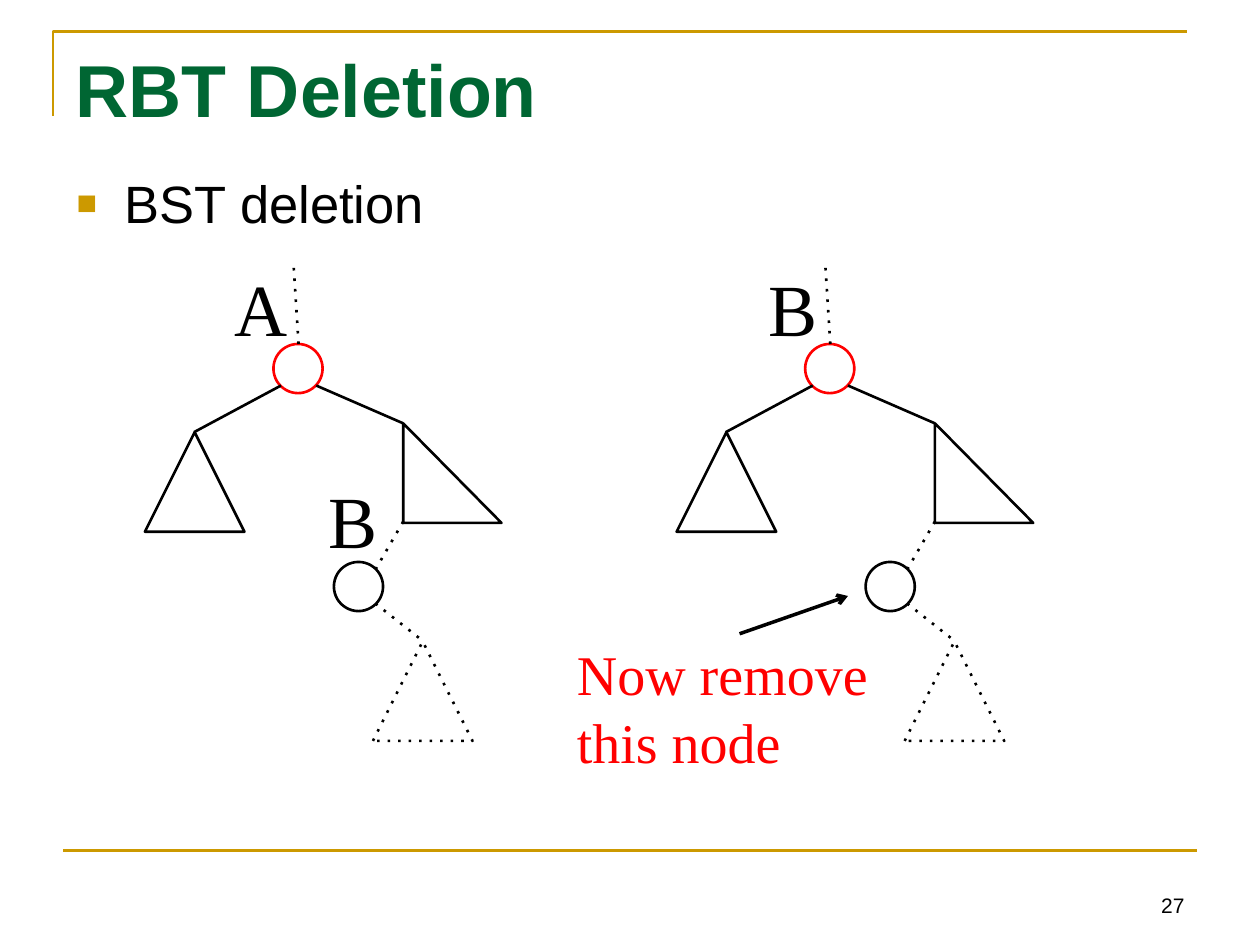
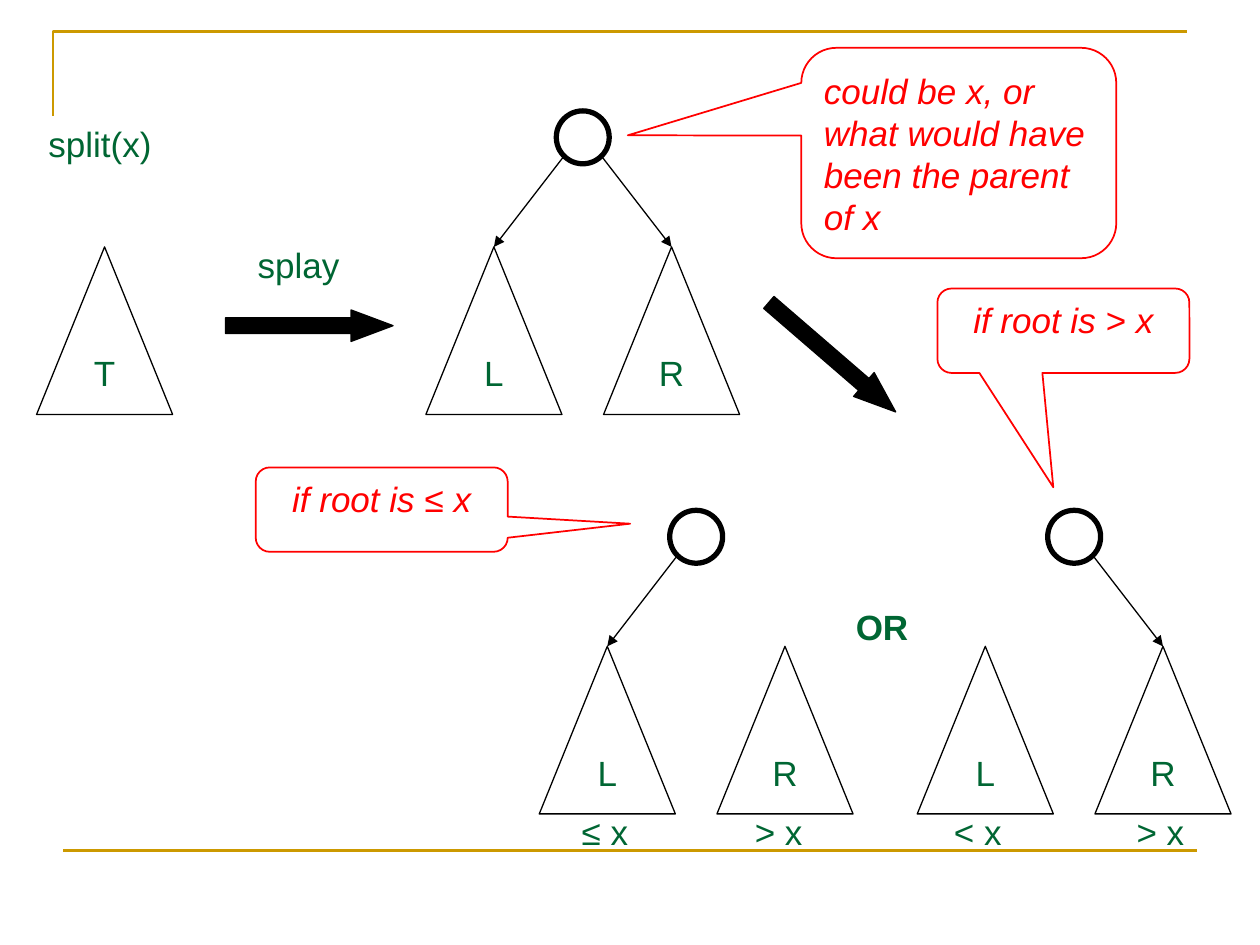
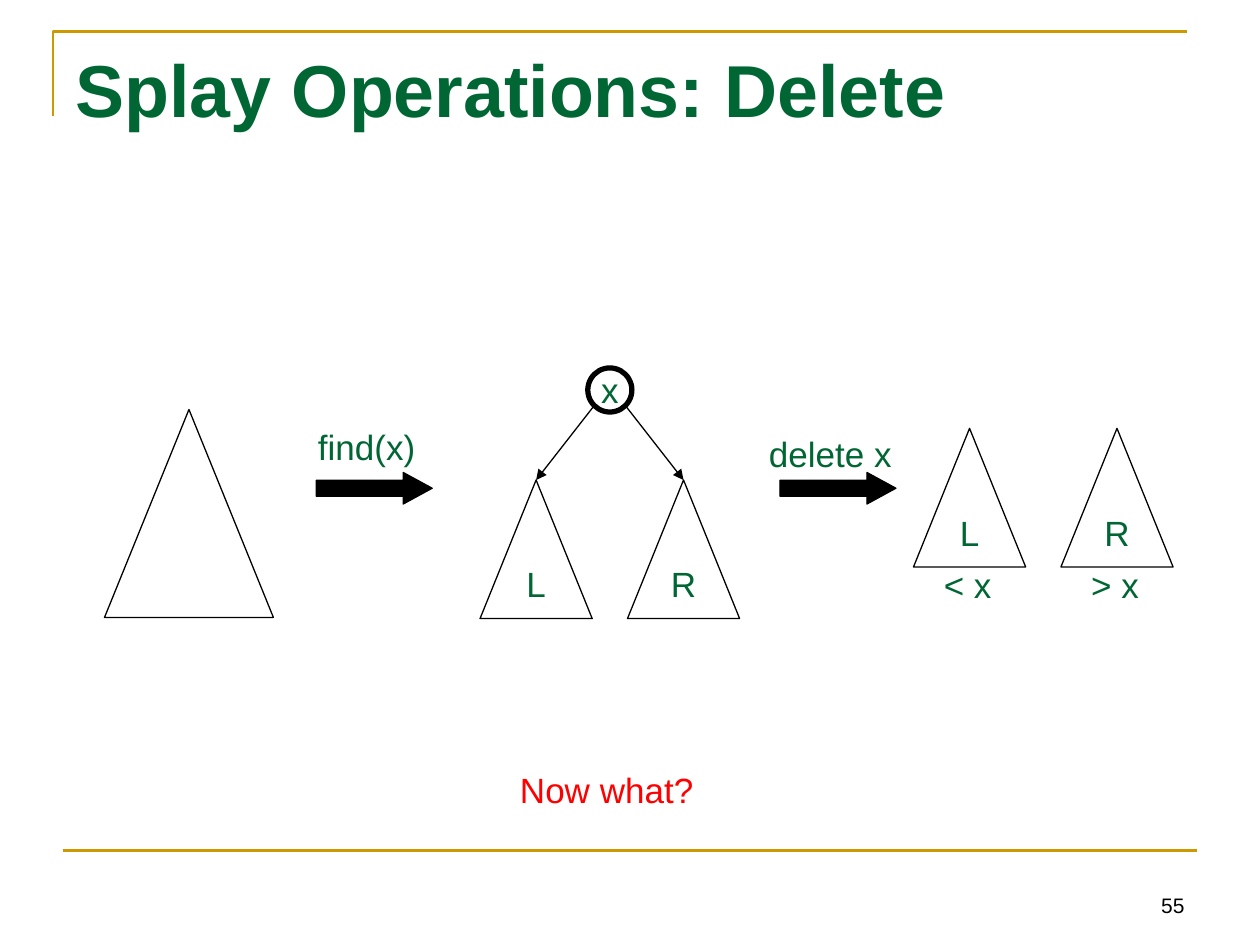
from lxml import etree
from pptx import Presentation
from pptx.dml.color import RGBColor
from pptx.enum.shapes import MSO_CONNECTOR, MSO_SHAPE
from pptx.enum.text import MSO_ANCHOR, PP_ALIGN
from pptx.oxml.ns import qn
from pptx.util import Pt

PX = 9144  # EMU per px, 100 px to the inch
WIDTH, HEIGHT = 1000, 750
TITLE_ONLY, BLANK = 5, 6

GREEN, GOLD, RED, BLACK = "006633", "CC9900", "FF0000", "000000"
SANS, SERIF = "Arial", "Times New Roman"

LEFT, CENTER, RIGHT = PP_ALIGN.LEFT, PP_ALIGN.CENTER, PP_ALIGN.RIGHT
TOP, MIDDLE, BOTTOM = MSO_ANCHOR.TOP, MSO_ANCHOR.MIDDLE, MSO_ANCHOR.BOTTOM
ELLIPSE, TRIANGLE = MSO_SHAPE.OVAL, MSO_SHAPE.ISOSCELES_TRIANGLE
RIGHT_TRIANGLE, ARROW = MSO_SHAPE.RIGHT_TRIANGLE, MSO_SHAPE.RIGHT_ARROW
CALLOUT = MSO_SHAPE.ROUNDED_RECTANGULAR_CALLOUT
STRAIGHT = MSO_CONNECTOR.STRAIGHT


def rgb(color):
    return RGBColor.from_string(color)


def emu(*lengths):
    return [round(n * PX) for n in lengths]


def add_xml(parent, tag, **attrs):
    return etree.SubElement(parent, qn(tag), attrs)


class Deck:
    def __init__(self):
        self.prs = Presentation()
        self.prs.slide_width, self.prs.slide_height = emu(WIDTH, HEIGHT)
        self.s = None

    def slide(self, title=None, number=None):
        layout = self.prs.slide_layouts[TITLE_ONLY if title else BLANK]
        self.s = self.prs.slides.add_slide(layout)
        # Gold corner and footer rule
        corner = self.s.shapes.build_freeform(42, 92, scale=PX)
        corner.add_line_segments([(42, 25), (942, 25)], close=False)
        sp = corner.convert_to_shape()
        sp.shadow.inherit = False
        sp.fill.background()
        self.stroke(sp, GOLD, 1.5)
        self.line((50, 675), (950, 675), 1.5, GOLD)
        if title:
            sp = self.s.shapes.title
            sp.left, sp.top, sp.width, sp.height = emu(50, 30, 900, 125)
            self.set_text(sp, title, 42, bold=True, align=LEFT)
        if number:
            self.text(number, 717, 683, 233, 50, size=12, color=BLACK,
                      align=RIGHT, anchor=BOTTOM)

    def stroke(self, sp, color, width, dash=None, head=None):
        sp.line.color.rgb = rgb(color)
        sp.line.width = Pt(width)
        ln = sp._element.spPr.find(qn("a:ln"))
        if dash:
            add_xml(ln, "a:prstDash", val=dash)
        if head:
            add_xml(ln, "a:tailEnd", type=head)

    def set_text(self, sp, text, size=20, color=GREEN, font=SANS, bold=False,
                 italic=False, align=CENTER, anchor=TOP, wrap=True):
        """A tuple as text gives runs that are italic and upright in turn."""
        tf = sp.text_frame
        tf.word_wrap = wrap
        tf.vertical_anchor = anchor
        p = tf.paragraphs[0]
        p.alignment = align
        p.font.size, p.font.name = Pt(size), font
        p.font.bold = bold
        p.font.color.rgb = rgb(color)
        if isinstance(text, tuple):
            for i, part in enumerate(text):
                r = p.add_run()
                r.text = part
                r.font.italic = i % 2 == 0
        else:
            p.font.italic = italic
            p.add_run().text = text
        return p

    def text(self, text, x, y, w, h=44, **style):
        sp = self.s.shapes.add_textbox(*emu(x, y, w, h))
        return self.set_text(sp, text, **style)

    def bullet(self, text, x, y, w, h):
        p = self.text(text, x, y, w, h, size=30, color=BLACK, align=LEFT)
        pPr = p._p.get_or_add_pPr()
        indent = emu(38)[0]
        pPr.set("marL", str(indent))
        pPr.set("indent", str(-indent))
        # Bullet marks stand before the default run properties
        marks = [etree.Element(qn(tag), attrs) for tag, attrs in (
            ("a:buClr", {}), ("a:buSzPct", {"val": "65000"}),
            ("a:buFont", {"typeface": SANS}), ("a:buChar", {"char": "■"}))]
        add_xml(marks[0], "a:srgbClr", val=GOLD)
        for i, mark in enumerate(marks):
            pPr.insert(i, mark)

    def shape(self, kind, x, y, w, h, width=0.75, color=BLACK, fill=None,
              dash=None, adj=()):
        sp = self.s.shapes.add_shape(kind, *emu(x, y, w, h))
        sp.shadow.inherit = False
        for i, value in enumerate(adj):
            sp.adjustments[i] = value
        if fill:
            sp.fill.solid()
            sp.fill.fore_color.rgb = rgb(fill)
        else:
            sp.fill.background()
        self.stroke(sp, color, width, dash)
        return sp

    def line(self, start, end, width=0.75, color=BLACK, dash=None, head=None):
        cx = self.s.shapes.add_connector(STRAIGHT, *emu(*start, *end))
        self.stroke(cx, color, width, dash, head)
        add_xml(cx._element.spPr, "a:effectLst")

    def arrow(self, x, y, w, head, angle=0):
        sp = self.shape(ARROW, x, y, w, 25, fill=BLACK, adj=(0.5, head))
        sp.rotation = angle

    def callout(self, text, x, y, w, h, tip, **style):
        sp = self.shape(CALLOUT, x, y, w, h, 1, RED, adj=(*tip, 0.167))
        self.set_text(sp, text, color=RED, **style)

    def subtree(self, x, y, w, text=None):
        sp = self.shape(TRIANGLE, x, y, w, round(1.235 * w))
        if text:
            self.set_text(sp, text, anchor=MIDDLE, wrap=False)

    def splay_tree(self, x, y, w, links="", root=None):
        """Subtrees L and R; a root is drawn above when links names any."""
        pitch, d = round(1.31 * w), round(0.39 * w)
        apexes = {"L": x + w / 2, "R": x + pitch + w / 2}
        for name, apex in apexes.items():
            self.subtree(apex - w / 2, y, w, name)
        if not links:
            return
        cx, top = x + (pitch + w) / 2, y - w
        sp = self.shape(ELLIPSE, cx - d / 2, top, d, d, 3)
        if root:
            self.set_text(sp, root, anchor=MIDDLE, wrap=False)
        reach = 0.35 * d  # from the centre to the rim at 45 degrees
        for name in links:
            side = -reach if name == "L" else reach
            self.line((cx + side, top + d / 2 + reach), (apexes[name], y),
                      head="triangle")

    def deletion_tree(self, x):
        """Binary search tree whose left subtree starts at x."""
        self.shape(ELLIPSE, x + 102, 273, 39, 39, 1.5, RED)
        self.shape(ELLIPSE, x + 150, 446, 39, 39, 1.5)
        self.shape(RIGHT_TRIANGLE, x + 205, 336, 78, 79, 1.5)
        self.shape(TRIANGLE, x, 343, 79, 79, 1.5)
        self.shape(TRIANGLE, x + 181, 509, 79, 79, 1.5, dash="dot")
        self.line((x + 108, 306), (x + 39, 343), 1.5)
        self.line((x + 136, 306), (x + 205, 336), 1.5)
        for x1, y1, x2, y2 in ((122, 273, 118, 210), (205, 414, 183, 452),
                               (183, 479, 221, 509)):
            self.line((x + x1, y1), (x + x2, y2), 1.5, dash="dot")


def rbt_deletion(deck):
    deck.slide("RBT Deletion", "27")
    deck.bullet("BST deletion", 51, 131, 900, 495)
    for x in (115, 537):
        deck.deletion_tree(x)
    for name, x, y, w in (("A", 176, 204, 60), ("B", 251, 372, 56),
                          ("B", 600, 204, 56)):
        deck.text(name, x, y, w, 81, size=42, color=BLACK, font=SERIF,
                  wrap=False)
    deck.text("Now remove this node", 448, 503, 278, 118, size=32, color=RED,
              font=SERIF, align=LEFT)
    deck.line((587, 503), (673, 473), 2, head="arrow")


def splay_split(deck):
    deck.slide()
    # Splaying the tree
    deck.text("split(x)", 28, 92, 103, wrap=False)
    deck.subtree(29, 196, 108, "T")
    deck.splay_tree(338, 196, 108, "LR")
    deck.arrow(179, 246, 133, 1.333)
    deck.text("splay", 194, 188, 86, wrap=False)
    # Two outcomes
    deck.arrow(594, 271, 133, 1.333, angle=40.8)
    deck.text("OR", 669, 476, 62, bold=True, wrap=False)
    deck.splay_tree(428, 513, 108, "L")
    deck.splay_tree(728, 513, 108, "R")
    for label, x, w in (("≤ x", 429, 102), ("> x", 589, 58),
                        ("< x", 747, 58), ("> x", 870, 102)):
        deck.text(label, x, 638, w, wrap=False)
    # Callouts
    deck.callout("could be x, or what would have been the parent of x",
                 636, 38, 250, 167, (-1.051, -0.084), italic=True,
                 align=LEFT, anchor=MIDDLE)
    deck.callout(("if root is ", "≤", " x"), 203, 371, 200, 67, (0.986, 0.167))
    deck.callout(("if root is ", ">", " x"), 744, 229, 200, 67, (-0.04, 1.854))


def splay_delete(deck):
    deck.slide("Splay Operations: Delete", "55")
    deck.subtree(83, 325, 134)
    deck.splay_tree(381, 381, 89, "LR", root="x")
    deck.splay_tree(725, 340, 89)
    for x in (251, 619):
        deck.arrow(x, 375, 92, 0.917)
    for label, x, y, w in (("find(x)", 242, 333, 98),
                           ("delete x", 600, 338, 118),
                           ("< x", 739, 442, 58), ("> x", 856, 442, 58)):
        deck.text(label, x, y, w, wrap=False)
    deck.text("Now what?", 402, 605, 159, color=RED, wrap=False)


def main():
    deck = Deck()
    for build in (rbt_deletion, splay_split, splay_delete):
        build(deck)
    deck.prs.save("out.pptx")


if __name__ == "__main__":
    main()
